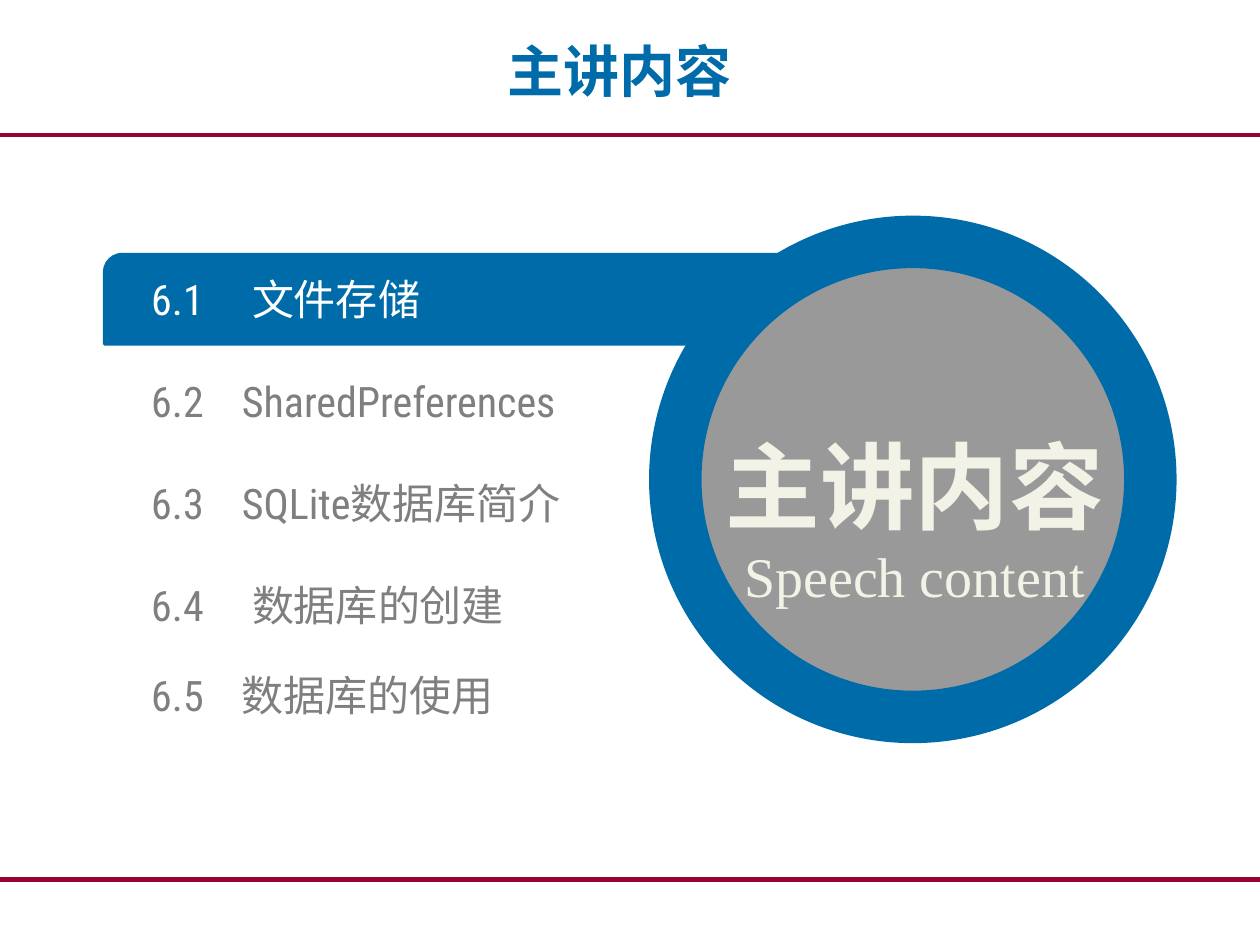
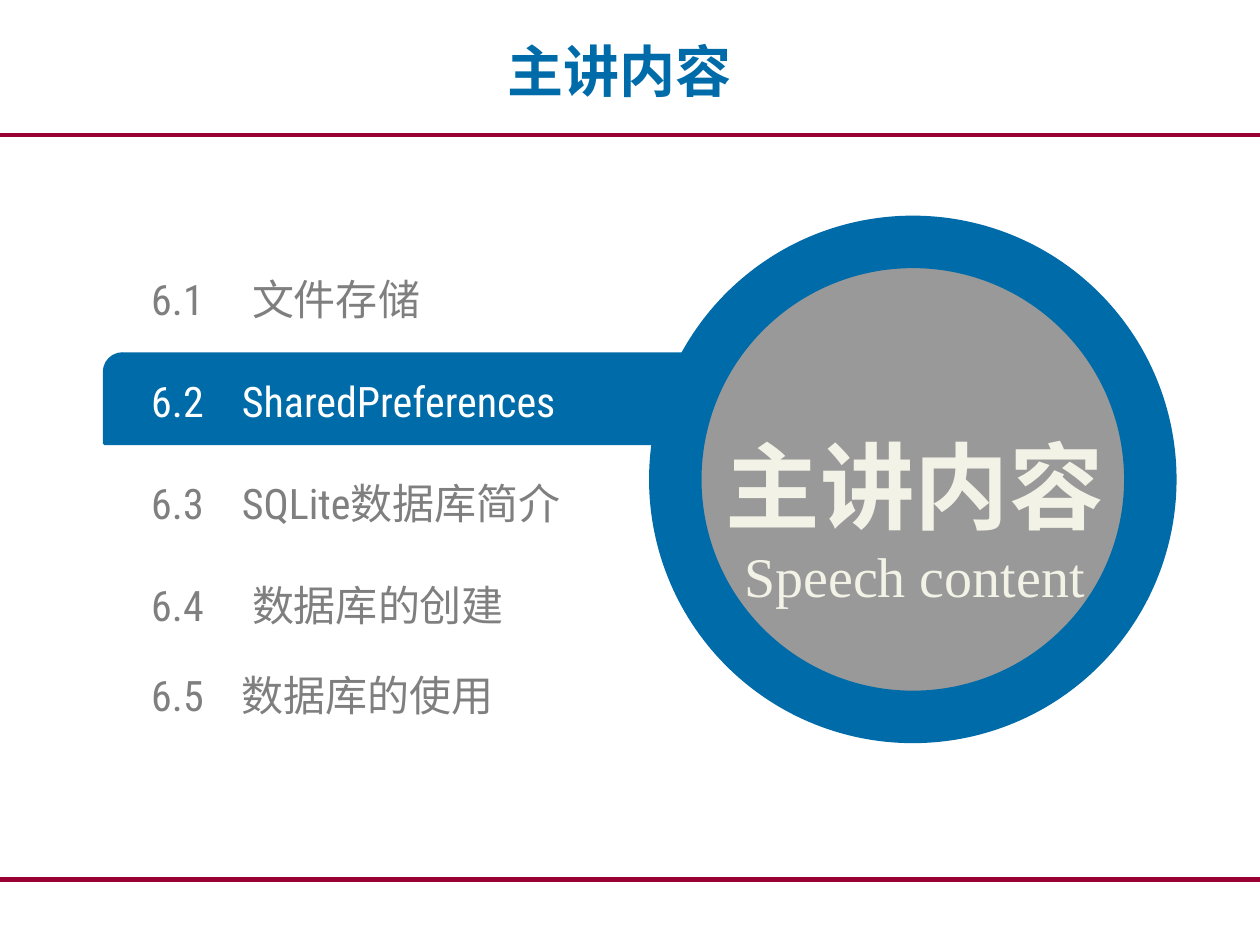
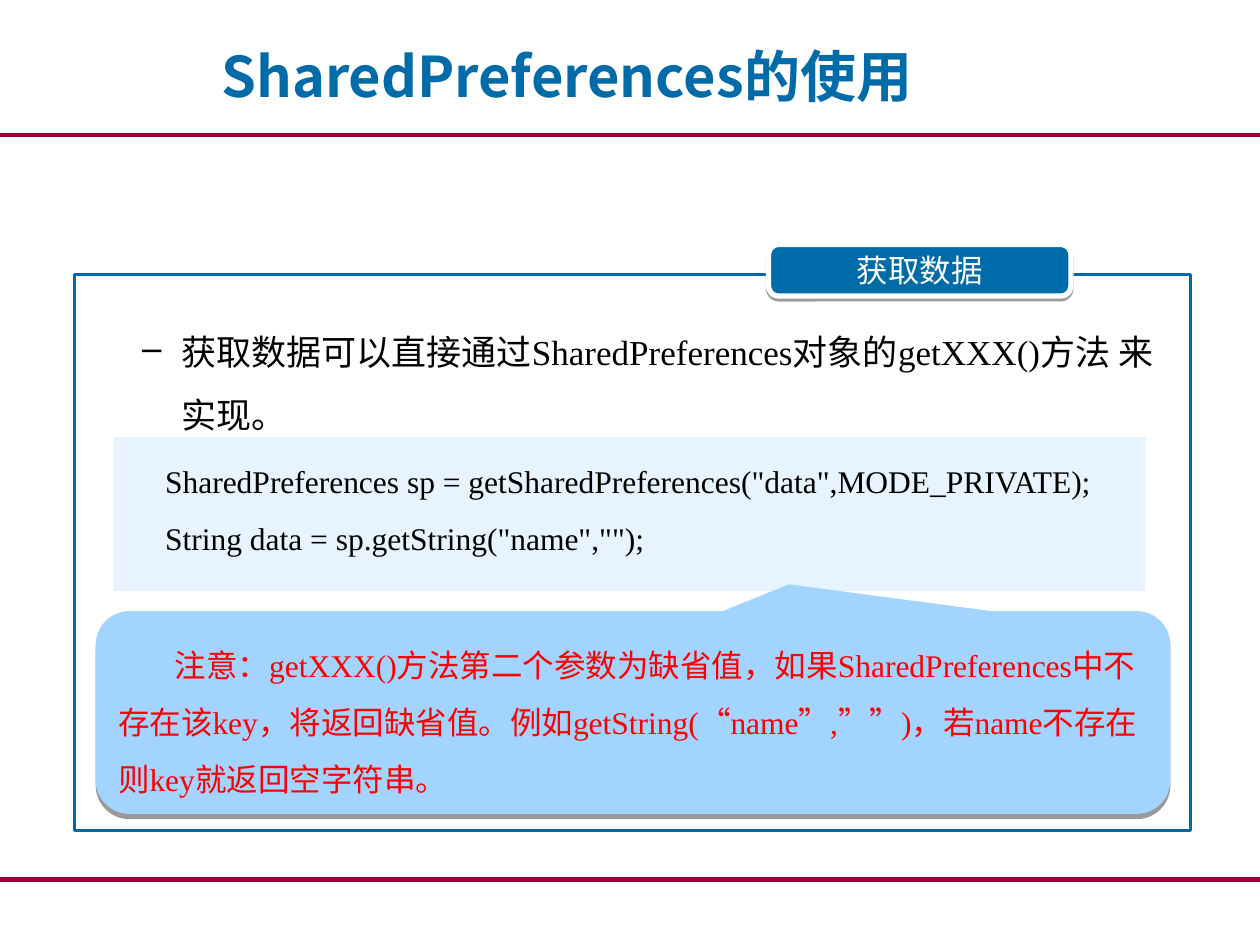
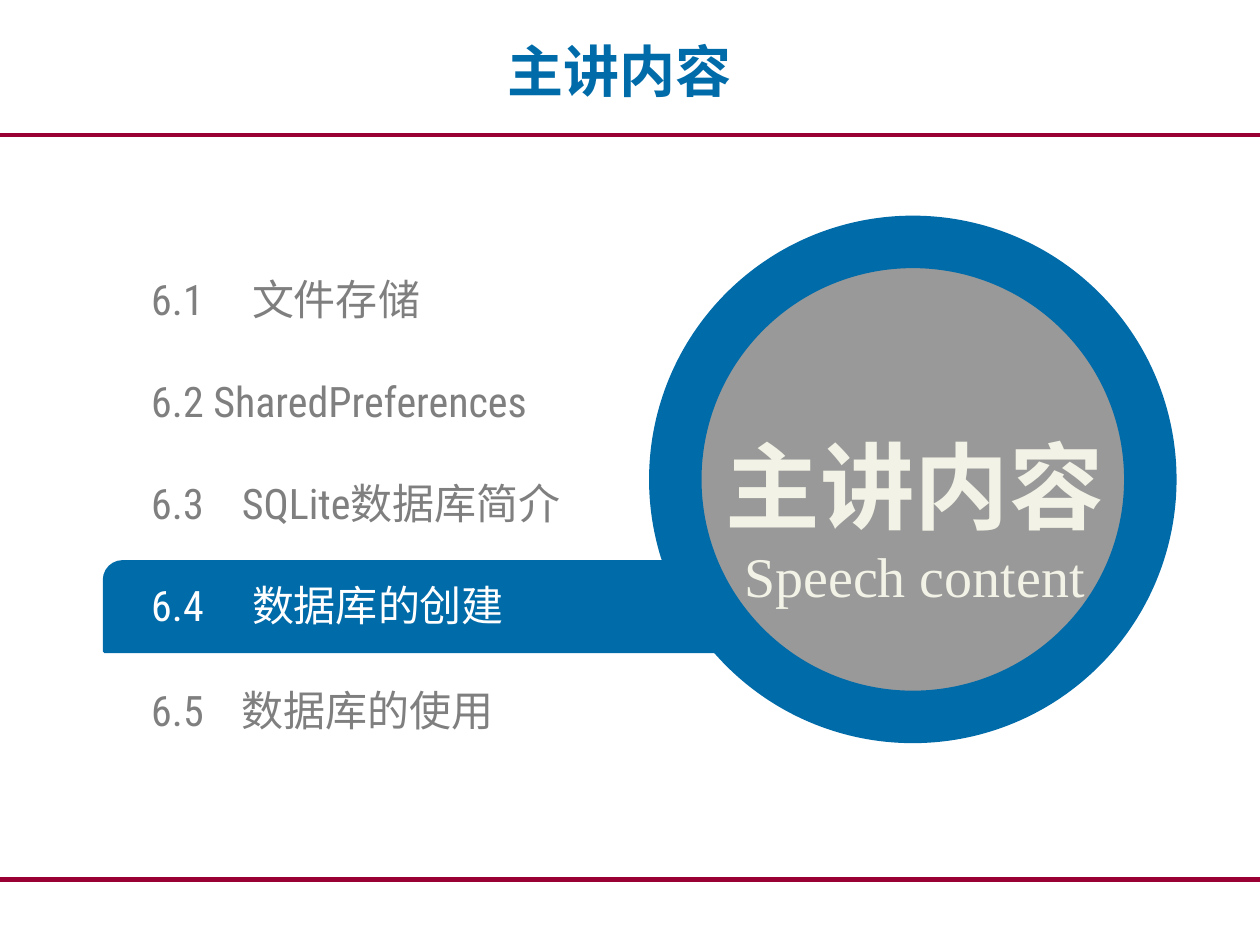
from dataclasses import dataclass
from typing import Any, NamedTuple, Optional

from lxml import etree
from pptx import Presentation
from pptx import util as u
from pptx.dml.color import RGBColor
from pptx.enum import shapes, text
from pptx.oxml.ns import qn


@dataclass(frozen=True)
class Theme:
    blue: str = "006BA9"
    crimson: str = "990033"
    gray: str = "7F7F7F"
    disc: str = "999999"
    cream: str = "F2F2E6"
    white: str = "FFFFFF"
    black: str = "000000"
    red: str = "FF0000"
    code_fill: str = "E7F4FF"
    note_fill: str = "A3D3FF"
    sans: str = "Noto Sans CJK SC"
    serif: str = "Times New Roman"
    arial: str = "Arial"
    condensed: str = "Roboto Condensed"
    title_size: int = 32
    emblem_size: int = 54
    item_size: int = 24
    body_size: int = 20
    code_size: int = 18


THEME = Theme()
LAYOUT_TITLE_ONLY = 5
ITEM_TOP, ITEM_STEP = 2.17, 0.81


class Box(NamedTuple):
    left: float
    top: float
    width: float
    height: float


class Span(NamedTuple):
    words: str
    font: str
    size: int
    color: str
    bold: bool = False


class Para(NamedTuple):
    spans: list[Span]
    align: text.PP_ALIGN = text.PP_ALIGN.LEFT
    spacing: float = 1.0
    margin: float = 0
    indent: float = 0
    bullet: str = ""
    tab: float = 0


class Rule(NamedTuple):
    top: float
    weight: float


class Shadow(NamedTuple):
    distance: float
    opacity: int


class Entry(NamedTuple):
    number: str
    name: str
    tab: float


class Agenda(NamedTuple):
    active: int
    bar_top: float
    last_top: float
    tight: Optional[int] = None


RULES = [Rule(6.98, 3), Rule(1.07, 2)]
ENTRIES = [
    Entry("6.1", "文件存储", 0.8),
    Entry("6.2", "SharedPreferences", 0.72),
    Entry("6.3", "SQLite数据库简介", 0.72),
    Entry("6.4", "数据库的创建", 0.8),
    Entry("6.5", "数据库的使用", 0.72),
]


def apply(target: Any, values: dict[str, Any]) -> None:
    for name, value in values.items():
        setattr(target, name, value)


def add_node(parent: Any, tag: str, **attributes: Any) -> Any:
    return etree.SubElement(parent, qn(tag), {k: str(v) for k, v in attributes.items()})


def rgb(color: str) -> RGBColor:
    return RGBColor.from_string(color)


def inches(box: Box) -> list[u.Length]:
    return [u.Inches(value) for value in box]


def write(frame: Any, paras: list[Para], inset: tuple[float, float] = (0.1, 0.05),
          anchor: text.MSO_ANCHOR = text.MSO_ANCHOR.MIDDLE, grow: bool = False) -> None:
    side, edge = (u.Inches(value) for value in inset)
    auto = text.MSO_AUTO_SIZE
    apply(frame, {
        "word_wrap": True, "vertical_anchor": anchor,
        "auto_size": auto.SHAPE_TO_FIT_TEXT if grow else auto.NONE,
        "margin_left": side, "margin_right": side,
        "margin_top": edge, "margin_bottom": edge,
    })
    for index, para in enumerate(paras):
        line = frame.add_paragraph() if index else frame.paragraphs[0]
        properties = line._p.get_or_add_pPr()
        if para.margin or para.indent:
            properties.set("marL", str(u.Inches(para.margin)))
            properties.set("indent", str(u.Inches(para.indent)))
        if para.bullet:
            add_node(properties, "a:buChar", char=para.bullet)
        if para.tab:
            stops = add_node(properties, "a:tabLst")
            add_node(stops, "a:tab", pos=u.Inches(para.tab), algn="l")
        apply(line, {"alignment": para.align, "line_spacing": para.spacing, "space_before": u.Pt(0)})
        for span in para.spans:
            run = line.add_run()
            run.text = span.words
            apply(run.font, {"name": span.font, "size": u.Pt(span.size), "bold": span.bold})
            run.font.color.rgb = rgb(span.color)
            add_node(run.font._element, "a:ea", typeface=THEME.sans)


def add_text(slide: Any, box: Box, paras: list[Para], **options: Any) -> None:
    write(slide.shapes.add_textbox(*inches(box)).text_frame, paras, **options)


def add_panel(slide: Any, kind: shapes.MSO_SHAPE, box: Box, fill: Optional[str] = None,
              line: Optional[str] = None, weight: float = 0,
              adjust: tuple[float, ...] = (), shadow: Optional[Shadow] = None) -> Any:
    panel = slide.shapes.add_shape(kind, *inches(box))
    panel.shadow.inherit = False
    for index, value in enumerate(adjust):
        panel.adjustments[index] = value
    if fill:
        panel.fill.solid()
        panel.fill.fore_color.rgb = rgb(fill)
    else:
        panel.fill.background()
    if line:
        panel.line.color.rgb = rgb(line)
        panel.line.width = u.Pt(weight)
    else:
        panel.line.fill.background()
    if shadow:
        effects = panel.element.spPr.find(qn("a:effectLst"))
        outer = add_node(effects, "a:outerShdw", blurRad=0, dist=u.Pt(shadow.distance),
                         dir=90 * 60000, algn="ctr", rotWithShape=0)
        tint = add_node(outer, "a:srgbClr", val=THEME.black)
        add_node(tint, "a:alpha", val=shadow.opacity * 1000)
    return panel


def add_shared_rules(slide: Any, master: Any) -> None:
    for rule in RULES:
        top = u.Inches(rule.top)
        connector = slide.shapes.add_connector(
            shapes.MSO_CONNECTOR.STRAIGHT, u.Inches(0), top, u.Inches(10), top)
        connector.line.color.rgb = rgb(THEME.crimson)
        connector.line.width = u.Pt(rule.weight)
        add_node(connector.element.spPr, "a:effectLst")
        master.shapes.element.append(connector.element)


def add_titled_slide(deck: Any, words: str, box: Box) -> Any:
    slide = deck.slides.add_slide(deck.slide_layouts[LAYOUT_TITLE_ONLY])
    title = slide.shapes.title
    apply(title, dict(zip(("left", "top", "width", "height"), inches(box))))
    span = Span(words, THEME.sans, THEME.title_size, THEME.blue, True)
    write(title.text_frame, [Para([span], text.PP_ALIGN.CENTER)])
    return slide


def add_agenda(deck: Any, agenda: Agenda) -> Any:
    slide = add_titled_slide(deck, "主讲内容", Box(0.42, 0.06, 9, 0.99))
    add_panel(slide, shapes.MSO_SHAPE.ROUND_2_DIAG_RECTANGLE, Box(0.83, agenda.bar_top, 5.35, 0.71),
              THEME.blue, THEME.blue, 2, (0.2, 0))
    for index, entry in enumerate(ENTRIES):
        is_last = index == len(ENTRIES) - 1
        top = agenda.last_top if is_last else ITEM_TOP + index * ITEM_STEP
        tight = index == agenda.tight
        words = f"{entry.number}{' ' if tight else chr(9)}{entry.name}"
        color = THEME.white if index == agenda.active else THEME.gray
        span = Span(words, THEME.condensed, THEME.item_size, color)
        add_text(slide, Box(1.2, top, 4.19, 0.4), [Para([span], tab=0 if tight else entry.tab)],
                 inset=(0, 0), grow=True)
    add_panel(slide, shapes.MSO_SHAPE.OVAL, Box(5.36, 1.92, 3.77, 3.77), THEME.disc, THEME.blue, 30)
    heading = Span("主讲内容", THEME.sans, THEME.emblem_size, THEME.cream, True)
    caption = Span("Speech content", THEME.serif, THEME.title_size, THEME.cream)
    add_text(slide, Box(5.31, 2.89, 3.9, 1.99),
             [Para([heading], text.PP_ALIGN.CENTER, 1.5), Para([caption], text.PP_ALIGN.CENTER)],
             grow=True)
    return slide


def add_usage(deck: Any) -> None:
    slide = add_titled_slide(deck, "SharedPreferences的使用", Box(0, 0.1, 9, 0.99))
    kinds = shapes.MSO_SHAPE
    add_panel(slide, kinds.RECTANGLE, Box(0.59, 2.18, 8.86, 4.41), line=THEME.blue, weight=1.5)

    body = (THEME.body_size, THEME.black)
    method = [
        Span("获取", THEME.arial, *body),
        Span("数据可以直接通过SharedPreferences对象的getXXX()方法 来实现", THEME.serif, *body),
        Span("。", THEME.arial, *body),
    ]
    add_text(slide, Box(0.53, 2.41, 8.81, 1.26),
             [Para(method, spacing=1.5, margin=0.81, indent=-0.31, bullet="–")],
             anchor=text.MSO_ANCHOR.TOP)

    tag = add_panel(slide, kinds.ROUNDED_RECTANGLE, Box(6.1, 1.94, 2.4, 0.41), THEME.blue,
                    THEME.white, 3, (0.2,), Shadow(1.6, 38))
    label = Span("获取数据", THEME.sans, THEME.code_size, THEME.white)
    write(tag.text_frame, [Para([label], text.PP_ALIGN.CENTER)], inset=(0.24, 0.06))

    code = add_panel(slide, kinds.RECTANGLE, Box(0.9, 3.47, 8.19, 1.22), THEME.code_fill)
    statements = [
        '     SharedPreferences sp = getSharedPreferences("data",MODE_PRIVATE);',
        '     String data = sp.getString("name","");',
    ]
    write(code.text_frame,
          [Para([Span(words, THEME.serif, THEME.code_size, THEME.black)], spacing=1.5)
           for words in statements], anchor=text.MSO_ANCHOR.TOP)

    note = add_panel(slide, kinds.ROUNDED_RECTANGULAR_CALLOUT, Box(0.76, 4.85, 8.53, 1.61),
                     THEME.note_fill, adjust=(0.145, -0.632, 0.167), shadow=Shadow(3, 40))
    warning = (THEME.code_size, THEME.red)
    remark = [
        Span("注意：getXXX()方法第二个参数为缺省值，如果SharedPreferences中不存在该key，"
             "将返回缺省值。例如getString(“name”,””)，若name不存在则key就返回空字符串",
             THEME.serif, *warning),
        Span("。", THEME.arial, *warning),
    ]
    write(note.text_frame, [Para(remark, spacing=1.5, indent=0.45)])


def main() -> None:
    deck = Presentation()
    apply(deck, {"slide_width": u.Inches(10), "slide_height": u.Inches(7.5)})
    opening = add_agenda(deck, Agenda(active=0, bar_top=2.02, last_top=5.31))
    add_shared_rules(opening, deck.slide_master)
    add_agenda(deck, Agenda(active=1, bar_top=2.81, last_top=5.31))
    add_usage(deck)
    add_agenda(deck, Agenda(active=3, bar_top=4.46, last_top=5.43, tight=1))
    deck.save("out.pptx")


if __name__ == "__main__":
    main()
